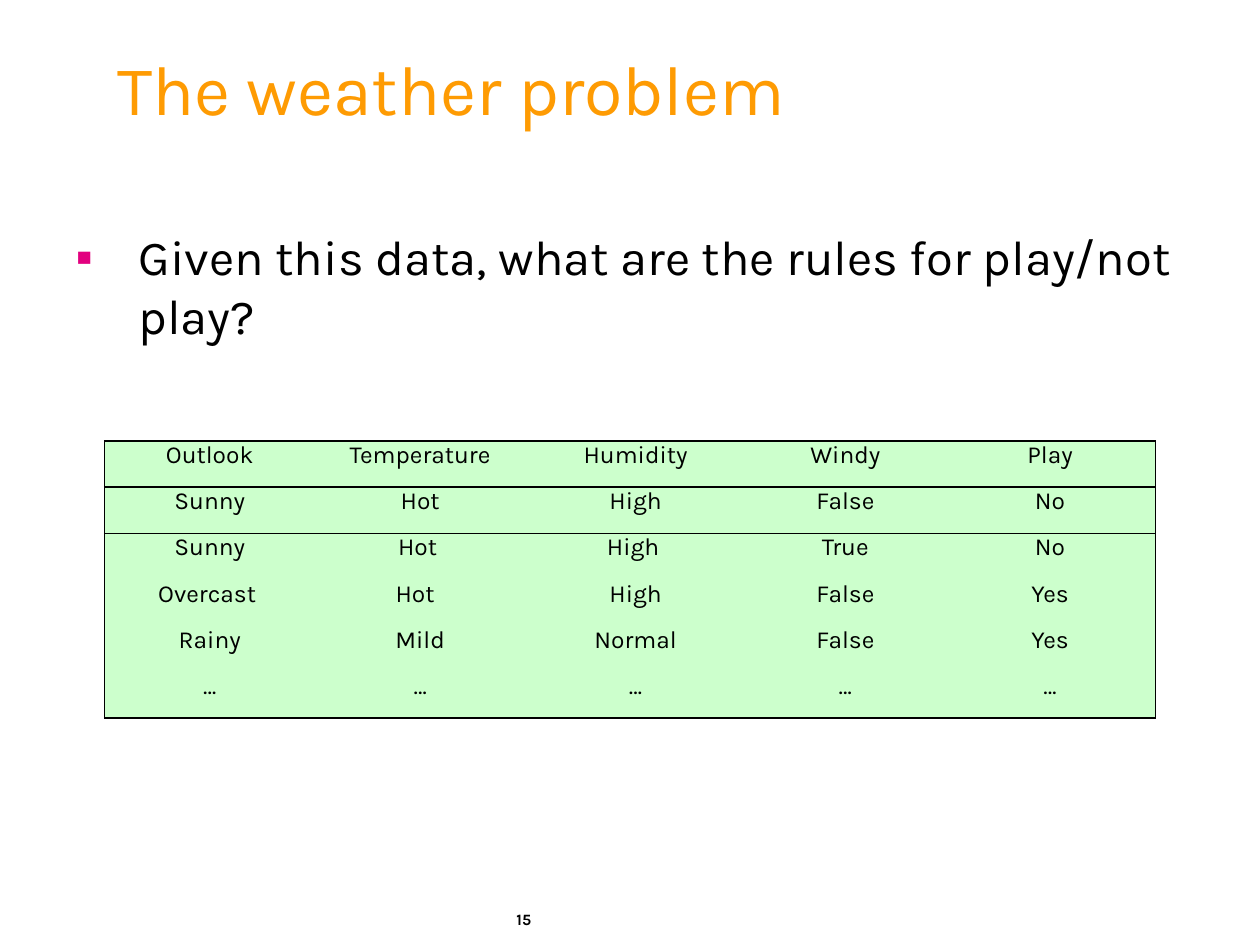
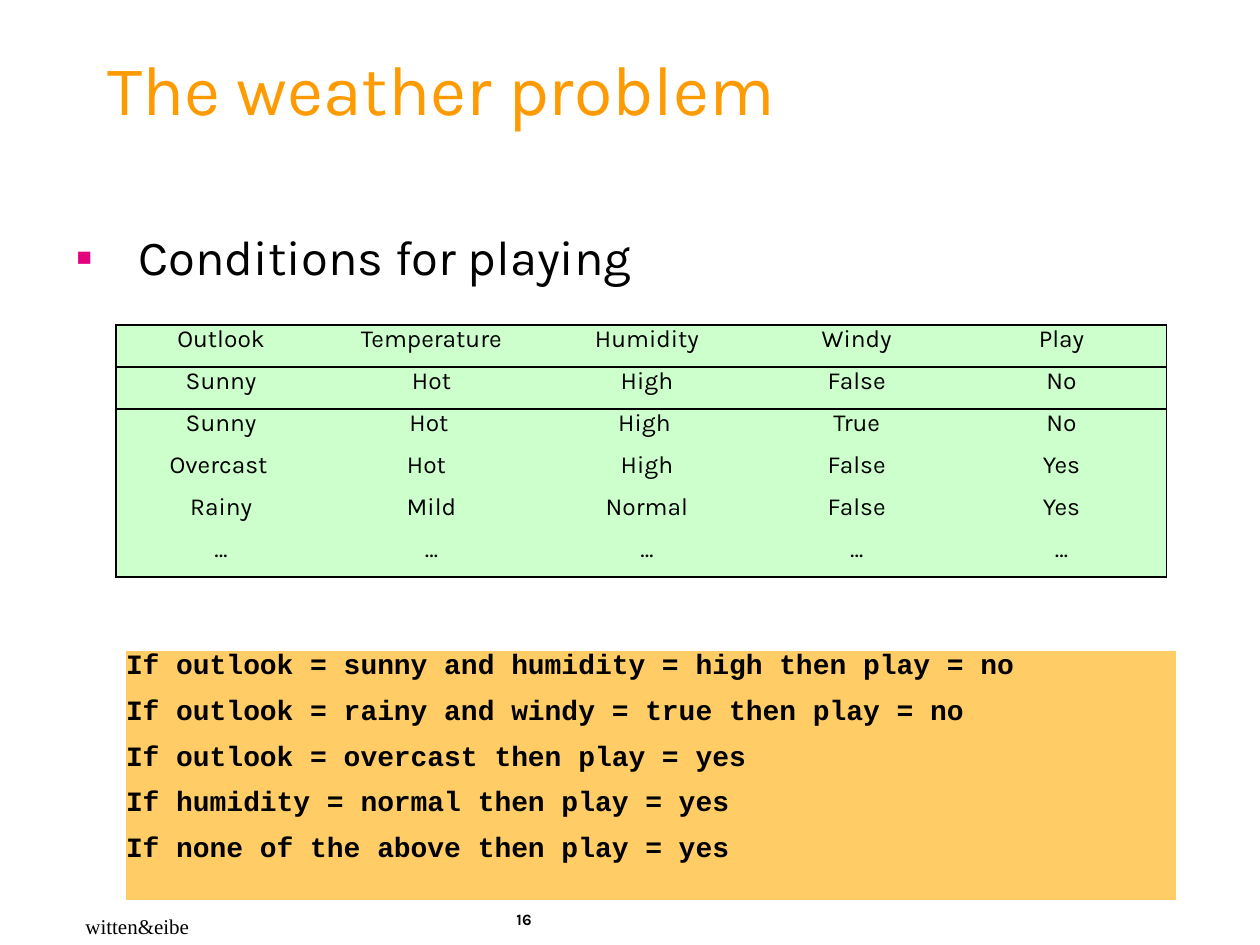
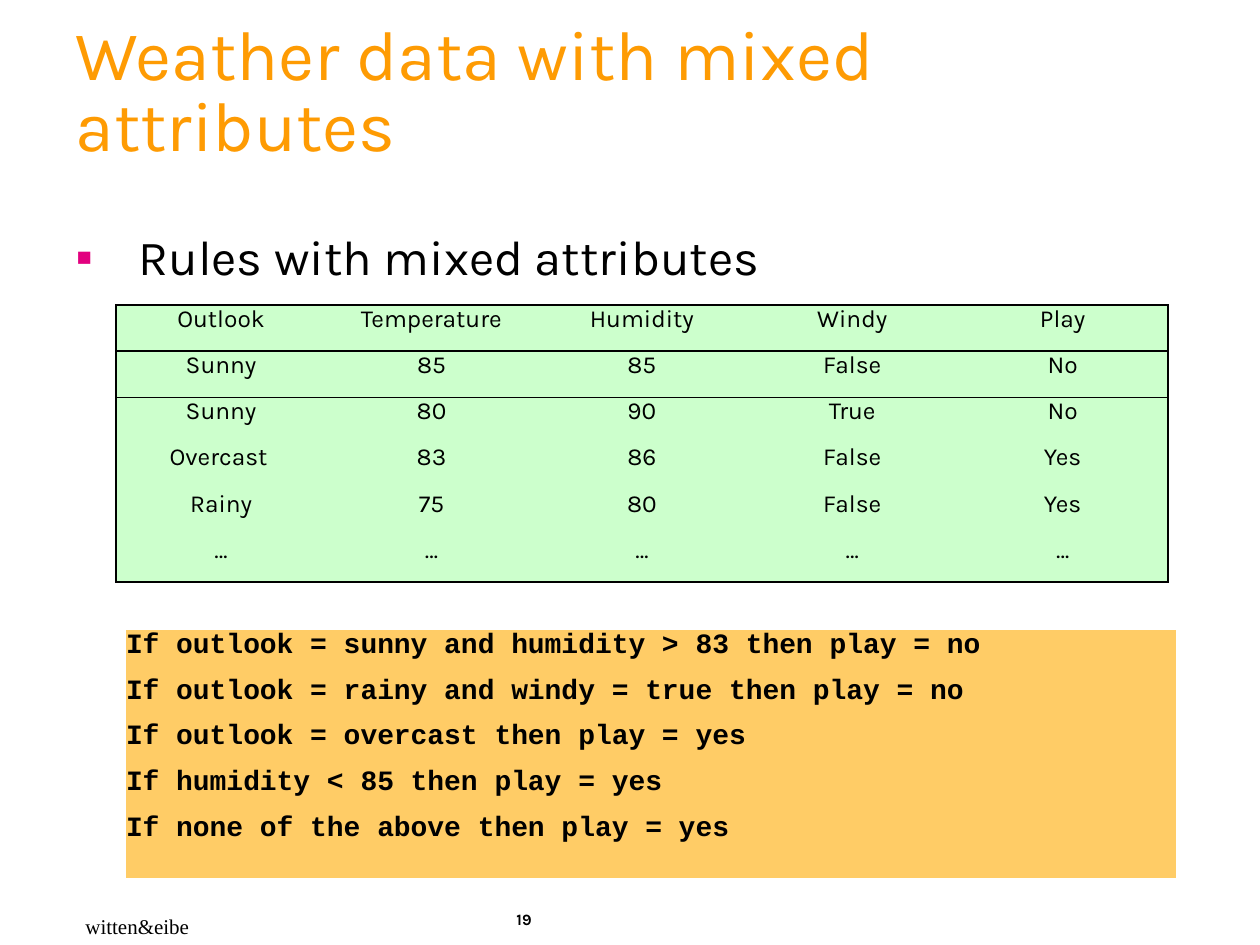
from dataclasses import dataclass

from lxml.etree import SubElement
from pptx import Presentation
from pptx.dml.color import RGBColor
from pptx.enum.text import MSO_ANCHOR, MSO_AUTO_SIZE, PP_ALIGN
from pptx.oxml.ns import qn
from pptx.util import Inches, Pt


@dataclass(frozen=True)
class Theme:
    ink: str = "000000"
    gold: str = "FE9B03"
    pink: str = "E2007F"
    mint: str = "CCFFCC"
    sand: str = "FFCC66"
    sans: str = "Karla"
    mono: str = "Courier New"
    serif: str = "Times New Roman"
    title: int = 40
    body: int = 28
    code: int = 16
    cell: int = 14
    note: int = 12
    page: int = 9
    rule: int = 1


HEAD = ["Outlook", "Temperature", "Humidity", "Windy", "Play"]
SKY = ["Sunny", "Sunny", "Overcast", "Rainy"]
WIND = ["False", "True", "False", "False"]
PLAY = ["No", "No", "Yes", "Yes"]
WIDE = [1.67, 1.67, 1.75, 1.58, 1.67]
EVEN = [1.67] * 5
# Right insets, by row and column, that shift words slightly left
MIXED_PADS = {(3, 0): 0.04}
WORD_PADS = {(2, 1): 0.04, (2, 2): 0.04, (3, 0): 0.04, (3, 1): 0.08}


def grid(temps, damps):
    """Return the weather rows, from the heading to the dots."""
    return [HEAD, *zip(SKY, temps, damps, WIND, PLAY), ["…"] * 5]


def write(frame, text, size, font, color, bold=False, align=PP_ALIGN.LEFT,
          gap=0, line=None):
    """Fill a text frame, one paragraph for each line of text."""
    for i, words in enumerate(text.split("\n")):
        para = frame.paragraphs[0] if i == 0 else frame.add_paragraph()
        para.alignment = align
        para.space_before = Pt(gap if i else 0)
        if line:
            para.line_spacing = line
        run = para.add_run()
        run.text = words
        run.font.size = Pt(size)
        run.font.name = font
        run.font.bold = bold
        run.font.color.rgb = RGBColor.from_string(color)


def edge(cell, sides, color, width):
    """Draw the named sides of a cell and clear the others."""
    props = cell._tc.get_or_add_tcPr()
    for i, side in enumerate("LRTB"):
        line = props.makeelement(qn(f"a:ln{side}"), {"w": str(Pt(width))})
        if side in sides:
            fill = SubElement(line, qn("a:solidFill"))
            SubElement(fill, qn("a:srgbClr"), val=color)
        else:
            SubElement(line, qn("a:noFill"))
        props.insert(i, line)


class Deck:
    def __init__(self, theme):
        self.theme = theme
        self.file = Presentation()
        self.file.slide_width = Inches(10)
        self.file.slide_height = Inches(7.5)
        self.slide = None

    def start(self, page, title, left, point):
        """Add a slide with its title, bullet and page number."""
        self.slide = self.file.slides.add_slide(self.file.slide_layouts[1])
        self.title(title, left)
        self.bullet(point)
        self.label(page, 4, 7.17, 1.02, 0.33, size=self.theme.page,
                   font=self.theme.sans, bold=True)

    def place(self, shape, left, top, width, height, anchor):
        shape.left, shape.top = Inches(left), Inches(top)
        shape.width, shape.height = Inches(width), Inches(height)
        frame = shape.text_frame
        frame.word_wrap = True
        frame.auto_size = MSO_AUTO_SIZE.NONE
        frame.vertical_anchor = anchor
        return frame

    def title(self, text, left):
        frame = self.place(self.slide.shapes.title, left, 0.25, 9.08, 1,
                           MSO_ANCHOR.MIDDLE)
        write(frame, text, self.theme.title, self.theme.sans,
              self.theme.gold, line=0.85)

    def bullet(self, text):
        frame = self.place(self.slide.placeholders[1], 0.5, 1.75, 9.08, 5.17,
                           MSO_ANCHOR.TOP)
        write(frame, text, self.theme.body, self.theme.sans, self.theme.ink)
        props = frame.paragraphs[0]._p.get_or_add_pPr()
        props.set("marL", str(Inches(0.5)))
        props.set("indent", str(Inches(-0.5)))
        tint = SubElement(props, qn("a:buClr"))
        SubElement(tint, qn("a:srgbClr"), val=self.theme.pink)
        SubElement(props, qn("a:buChar"), char="▪")

    def label(self, text, left, top, width, height, size, font, bold=False):
        box = self.slide.shapes.add_textbox(0, 0, 0, 0)
        frame = self.place(box, left, top, width, height, MSO_ANCHOR.TOP)
        write(frame, text, size, font, self.theme.ink, bold=bold)

    def credit(self):
        self.label("witten&eibe", 0.58, 7.2, 1.03, 0.3,
                   size=self.theme.note, font=self.theme.serif)

    def table(self, rows, cols, left, top, height):
        """Add a plain table with the given column widths."""
        table = self.slide.shapes.add_table(
            rows, len(cols), Inches(left), Inches(top),
            Inches(sum(cols)), Inches(height)).table
        table.first_row = table.horz_banding = False
        for col, width in zip(table.columns, cols):
            col.width = Inches(width)
        return table

    def fill(self, cell, color, sides="", pad=0):
        cell.margin_left = cell.margin_top = cell.margin_bottom = 0
        cell.margin_right = Inches(pad)
        cell.fill.solid()
        cell.fill.fore_color.rgb = RGBColor.from_string(color)
        edge(cell, sides, self.theme.ink, self.theme.rule)

    def weather(self, rows, cols, left, top, height, pads):
        table = self.table(len(rows), cols, left, top, height)
        for r, row in enumerate(rows):
            for c, text in enumerate(row):
                sides = ("L" * (c == 0) + "R" * (c == len(cols) - 1)
                         + "T" * (r < 3)
                         + "B" * (r < 2 or r == len(rows) - 1))
                cell = table.cell(r, c)
                self.fill(cell, self.theme.mint, sides, pads.get((r, c), 0))
                write(cell.text_frame, text, self.theme.cell,
                      self.theme.sans, self.theme.ink, align=PP_ALIGN.CENTER)

    def rules(self, first, damp, top):
        """Add the rule list; first and damp are its humidity tests."""
        cell = self.table(1, [8.33], 1, top, 1.97).cell(0, 0)
        self.fill(cell, self.theme.sand)
        text = "\n".join([
            f"If outlook = sunny and humidity {first} then play = no",
            "If outlook = rainy and windy = true then play = no",
            "If outlook = overcast then play = yes",
            f"If humidity {damp} then play = yes",
            "If none of the above then play = yes",
        ])
        write(cell.text_frame, text, self.theme.code, self.theme.mono,
              self.theme.ink, bold=True, gap=8)


def main():
    deck = Deck(Theme())
    words = grid(["Hot", "Hot", "Hot", "Mild"],
                 ["High", "High", "High", "Normal"])
    mixed = grid(["85", "80", "83", "75"], ["85", "90", "86", "80"])

    deck.start("15", "The weather problem", 0.83,
               "Given this data, what are the rules for play/not play?")
    deck.weather(words, WIDE, 0.83, 3.5, 2.2, WORD_PADS)

    deck.start("16", "The weather problem", 0.75, "Conditions for playing")
    deck.weather(words, WIDE, 0.92, 2.58, 2, WORD_PADS)
    deck.rules("= high", "= normal", 5.17)
    deck.credit()

    deck.start("19", "Weather data with mixed attributes", 0.5,
               "Rules with mixed attributes")
    deck.weather(mixed, EVEN, 0.92, 2.42, 2.2, MIXED_PADS)
    deck.rules("> 83", "< 85", 5)
    deck.credit()

    deck.file.save("out.pptx")


if __name__ == "__main__":
    main()
